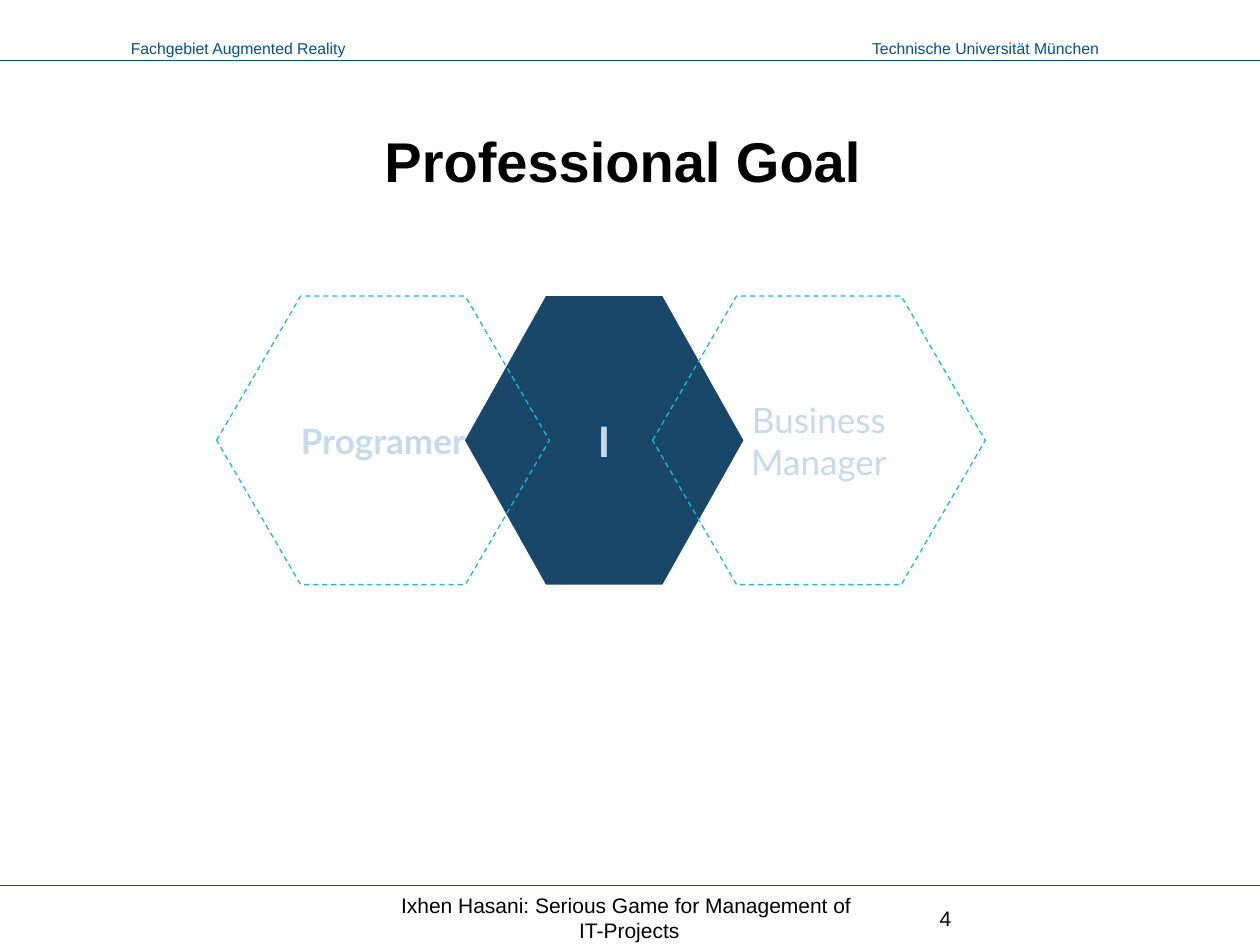
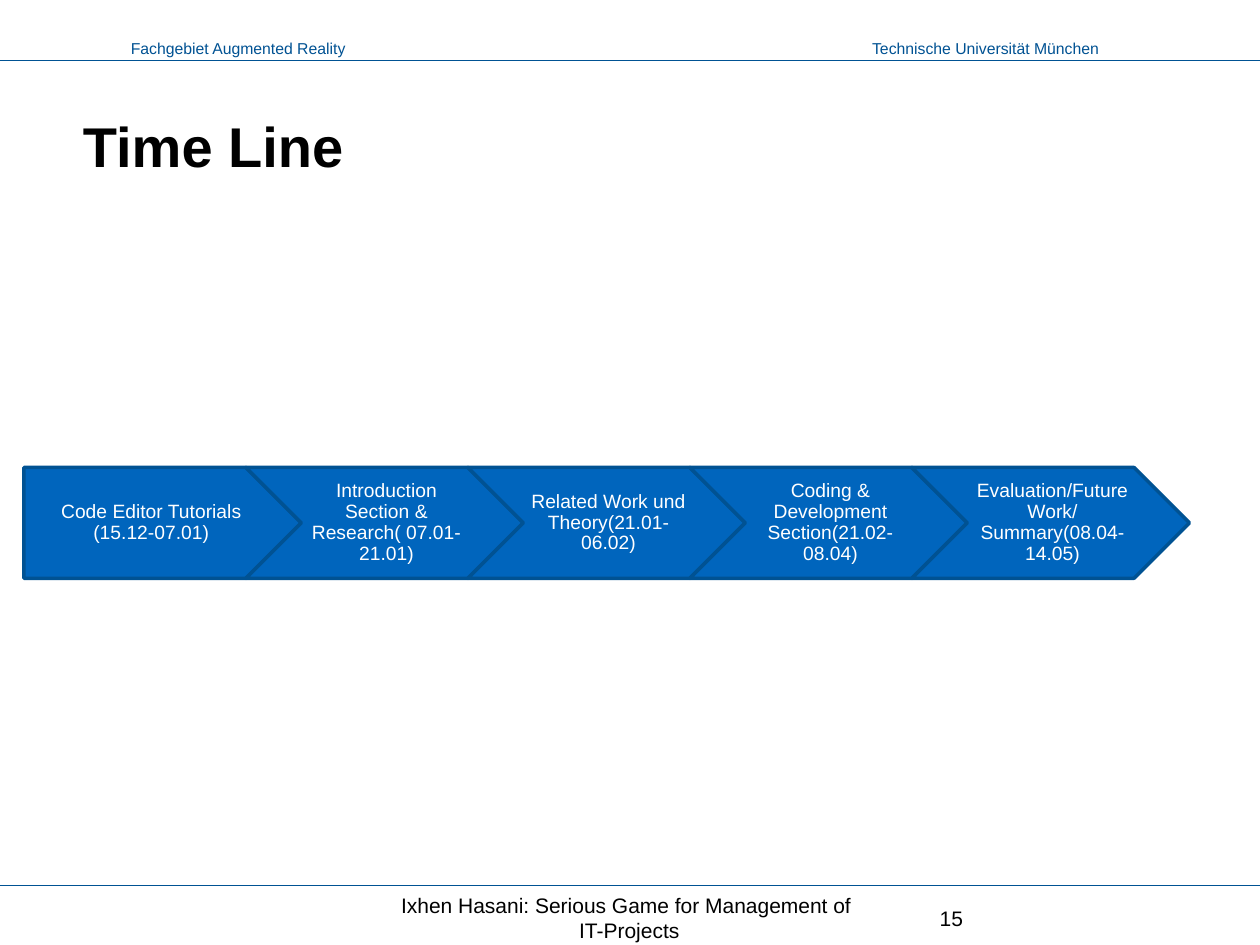
from lxml.etree import SubElement
from pptx import Presentation
from pptx.dml.color import RGBColor
from pptx.enum.dml import MSO_LINE
from pptx.enum.shapes import MSO_CONNECTOR, MSO_SHAPE
from pptx.enum.text import MSO_ANCHOR as Anchor, PP_ALIGN as Align
from pptx.oxml.ns import qn
from pptx.util import Inches, Pt

COLORS = {
    "rule": "005293",
    "arrow": "0065BD",
    "hexagon": "184769",
    "dash": "19BBD5",
    "pale": "C6DAEC",
    "black": "000000",
    "white": "FFFFFF",
}
FOOTER = "Ixhen Hasani: Serious Game for Management of \nIT-Projects"
GOAL_BOX = (1.72, 2.35, 6.1, 2.29)
TIMELINE_BOX = (0.19, 3.71, 9.25, 0.88)
STAGES = [
    "Code Editor Tutorials (15.12-07.01)",
    "Introduction Section & Research( 07.01-21.01)",
    "Related Work und Theory(21.01-06.02)",
    "Coding & Development Section(21.02-08.04)",
    "Evaluation/Future Work/ Summary(08.04-14.05)",
]


def color(name):
    """Return the named colour."""
    return RGBColor.from_string(COLORS[name])


def write_text(shape, text, size, ink, font="Arial", bold=False, align=Align.CENTER,
               anchor=Anchor.MIDDLE, margins=(0.1, 0.05, 0.1, 0.05), wrap=True):
    """Fill a shape with one styled paragraph and return the paragraph."""
    frame = shape.text_frame
    frame.word_wrap = wrap
    frame.vertical_anchor = anchor
    (frame.margin_left, frame.margin_top,
     frame.margin_right, frame.margin_bottom) = map(Inches, margins)
    paragraph = frame.paragraphs[0]
    paragraph.alignment = align
    for index, line in enumerate(text.split("\n")):
        if index:
            paragraph.add_line_break()
        run = paragraph.add_run()
        run.text = line
        run.font.name = font
        run.font.size = Pt(size)
        run.font.bold = bold
        run.font.color.rgb = color(ink)
    return paragraph


def add_text(slide, box, text, size, ink, **style):
    """Add a text box."""
    shape = slide.shapes.add_textbox(*map(Inches, box))
    write_text(shape, text, size, ink, **style)


def add_preset(slide, kind, box, fill=None, line=None, width=0.75):
    """Add a preset shape with optional fill and outline."""
    shape = slide.shapes.add_shape(kind, *map(Inches, box))
    shape.shadow.inherit = False
    if fill:
        shape.fill.solid()
        shape.fill.fore_color.rgb = color(fill)
    else:
        shape.fill.background()
    if line:
        shape.line.color.rgb = color(line)
        shape.line.width = Pt(width)
    else:
        shape.line.fill.background()
    return shape


def add_rule(slide, top):
    """Draw a thin line across the slide."""
    rule = slide.shapes.add_connector(
        MSO_CONNECTOR.STRAIGHT, Inches(0), Inches(top), Inches(10), Inches(top))
    rule.line.color.rgb = color("rule")
    rule.line.width = Pt(0.75)
    SubElement(rule._element.spPr, qn("a:effectLst"))


def add_frame(presentation, title, number, title_top, title_align):
    """Add a slide with header, title and footer."""
    slide = presentation.slides.add_slide(presentation.slide_layouts[6])
    header = {"align": Align.RIGHT, "anchor": Anchor.TOP, "wrap": False}
    add_text(slide, (6.81, 0.26, 2.01, 0.25), "Technische Universität München",
             9, "rule", **header)
    add_text(slide, (0.91, 0.26, 1.93, 0.25), "Fachgebiet Augmented Reality",
             9, "rule", **header)
    for top in (0.48, 7.03):
        add_rule(slide, top)
    add_text(slide, (0.56, title_top, 8.89, 0.67), title, 32, "black",
             bold=True, align=title_align, anchor=Anchor.BOTTOM)
    add_text(slide, (2.83, 7.12, 4.33, 0.33), FOOTER, 12, "black")
    add_text(slide, (7.36, 7.12, 2.08, 0.33), str(number), 12, "black", align=Align.LEFT)
    return slide


def add_hexagon(slide, box, text, size, bold=True, fill=None, line=None):
    """Add a labelled hexagon."""
    hexagon = add_preset(slide, MSO_SHAPE.HEXAGON, box, fill, line)
    hexagon.adjustments[0] = 0.291
    write_text(hexagon, text, size, "pale", font="Lato", bold=bold, margins=(0.1,) * 4)
    return hexagon


def add_goal_hexagons(slide, box):
    """Place two dashed hexagons at the ends of the box over a solid one."""
    left, top, width, height = box
    side = 2.64
    add_hexagon(slide, (left + 1.97, top, 2.21, height), "I", 24, fill="hexagon")
    for offset, role, bold in ((0, "Programer", True),
                               (width - side, "Business Manager", False)):
        hexagon = add_hexagon(slide, (left + offset, top, side, height),
                              role, 20, bold, line="dash")
        hexagon.line.dash_style = MSO_LINE.DASH


def add_timeline(slide, box, stages):
    """Chain the stages as arrows that overlap by a fifth of their width."""
    left, top, width, height = box
    step = width / (len(stages) + 0.25)
    for index, stage in enumerate(stages):
        kind = MSO_SHAPE.CHEVRON if index else MSO_SHAPE.PENTAGON
        arrow = add_preset(slide, kind, (left + index * step, top, step * 1.25, height),
                           "arrow", "rule", 2)
        inset = 0.05 if index else 0.06
        paragraph = write_text(arrow, stage, 11, "white", margins=(inset, 0.03, 0.02, 0.03))
        paragraph.line_spacing = 0.9


def main():
    """Build and save the presentation."""
    presentation = Presentation()
    presentation.slide_width = Inches(10)
    presentation.slide_height = Inches(7.5)
    goal = add_frame(presentation, "Professional Goal ", 4, 0.92, Align.CENTER)
    add_goal_hexagons(goal, GOAL_BOX)
    timeline = add_frame(presentation, "Time Line", 15, 0.8, Align.LEFT)
    add_timeline(timeline, TIMELINE_BOX, STAGES)
    presentation.save("out.pptx")


if __name__ == "__main__":
    main()
